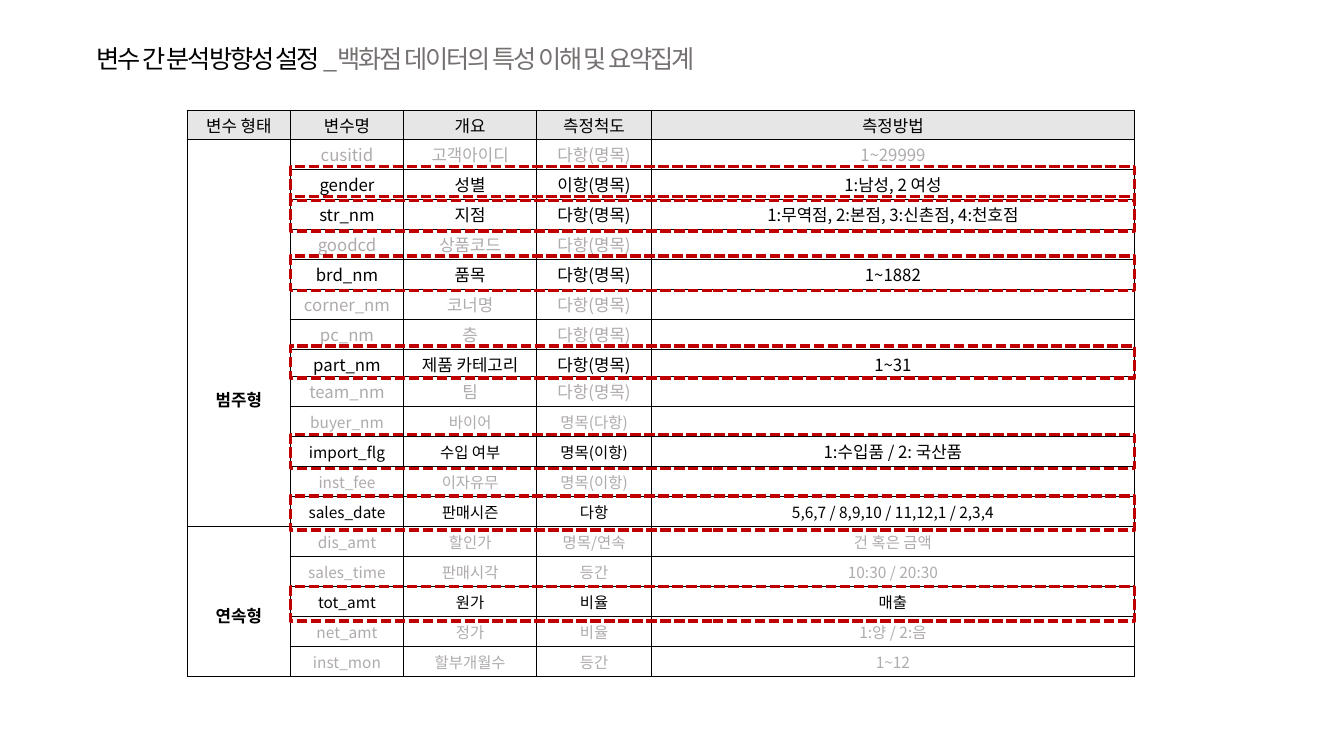
from lxml.etree import SubElement as Sub
from pptx import Presentation
from pptx.dml.color import RGBColor as RGB
from pptx.enum.dml import MSO_LINE as Dash
from pptx.enum.shapes import MSO_SHAPE as Shape
from pptx.enum.text import MSO_ANCHOR as Anchor, PP_ALIGN as Align
from pptx.oxml import parse_xml
from pptx.oxml.ns import qn
from pptx.util import Pt

FONT = "Noto Sans CJK KR"
BLACK, GREY, RED = "000000", "AFABAB", "C00000"
NS = "http://schemas.openxmlformats.org/drawingml/2006/main"
LEFT, TOP = 133.9, 78.7
COLS = [73.5, 81, 95, 82, 345]
HEAD = ["변수 형태", "변수명", "개요", "측정척도", "측정방법"]
ROWS = [
    ["cusitid", "고객아이디", "다항(명목)", "1~29999"],
    ["gender", "성별", "이항(명목)", "1:남성, 2 여성"],
    ["str_nm", "지점", "다항(명목)", "1:무역점, 2:본점, 3:신촌점, 4:천호점"],
    ["goodcd", "상품코드", "다항(명목)", ""],
    ["brd_nm", "품목", "다항(명목)", "1~1882"],
    ["corner_nm", "코너명", "다항(명목)", ""],
    ["pc_nm", "층", "다항(명목)", ""],
    ["part_nm", "제품 카테고리", "다항(명목)", "1~31"],
    ["team_nm", "팀", "다항(명목)", ""],
    ["buyer_nm", "바이어", "명목(다항)", ""],
    ["import_flg", "수입 여부", "명목(이항)", "1:수입품 / 2: 국산품"],
    ["inst_fee", "이자유무", "명목(이항)", ""],
    ["sales_date", "판매시즌", "다항", "5,6,7 / 8,9,10 / 11,12,1 / 2,3,4"],
    ["dis_amt", "할인가", "명목/연속", "건 혹은 금액"],
    ["sales_time", "판매시각", "등간", "10:30 / 20:30"],
    ["tot_amt", "원가", "비율", "매출"],
    ["net_amt", "정가", "비율", "1:양 / 2:음"],
    ["inst_mon", "할부개월수", "등간", "1~12"],
]
GROUPS = [("범주형", 1, 13, 177), ("연속형", 14, 18, 55)]
MARKS = {"gender": 118.8, "str_nm": 140.4, "brd_nm": 182.9, "part_nm": 247,
         "import_flg": 310.3, "sales_date": 354.2, "tot_amt": 419}
SMALL = 10


def color(code):
    return RGB.from_string(code)


def add_run(para, text, size, code, bold=False, gap=None):
    run = para.add_run()
    run.text = text
    font = run.font
    font.size, font.name, font.bold = Pt(size), FONT, bold
    font.color.rgb = color(code)
    props = run._r.get_or_add_rPr()
    Sub(props, qn("a:ea")).set("typeface", FONT)
    if gap:
        props.set("spc", str(gap))


def add_title(slide):
    box = slide.shapes.add_textbox(Pt(61.9), Pt(27.4), Pt(461.5), Pt(29))
    box.text_frame.word_wrap = True
    para = box.text_frame.paragraphs[0]
    add_run(para, "변수 간 분석방향성 설정 ", 18, BLACK, gap=-150)
    add_run(para, "_백화점 데이터의 특성 이해 및 요약집계", 18, "767171", gap=-150)


def add_edges(cell):
    props = cell._tc.get_or_add_tcPr()
    for i, side in enumerate("LRTB"):
        props.insert(i, parse_xml(
            f'<a:ln{side} xmlns:a="{NS}" w="12700"><a:solidFill>'
            f'<a:srgbClr val="{BLACK}"/></a:solidFill></a:ln{side}>'))


def fill_cell(cell, text, size, code=BLACK, back=None, bold=False, top=2.2):
    small = size < 12
    side = 0.7 if small else 5
    cell.margin_left = cell.margin_right = Pt(side)
    cell.margin_top, cell.margin_bottom = Pt(0.7 if small else top), 0
    cell.vertical_anchor = Anchor.MIDDLE if small else Anchor.TOP
    if back:
        cell.fill.solid()
        cell.fill.fore_color.rgb = color(back)
    else:
        cell.fill.background()
    add_edges(cell)
    para = cell.text_frame.paragraphs[0]
    para.alignment = Align.CENTER
    if text:
        add_run(para, text, size, code, bold)
    else:
        Sub(para._p, qn("a:endParaRPr")).set("sz", str(size * 100))


def add_grid(slide):
    highs = [20.7] + [19.3 if row[0] == "part_nm" else 21.45 for row in ROWS]
    frame = slide.shapes.add_table(len(highs), len(COLS), Pt(LEFT), Pt(TOP),
                                   Pt(sum(COLS)), Pt(sum(highs)))
    grid = frame.table
    grid.first_row = grid.horz_banding = False
    for col, wide in zip(grid.columns, COLS):
        col.width = Pt(wide)
    for row, high in zip(grid.rows, highs):
        row.height = Pt(high)
    for c, text in enumerate(HEAD):
        fill_cell(grid.cell(0, c), text, 12, back="E7E6E6")
    for r, row in enumerate(ROWS, 1):
        code = BLACK if row[0] in MARKS else GREY
        for c, text in enumerate(row, 1):
            large = r < SMALL or text == "1:수입품 / 2: 국산품"
            fill_cell(grid.cell(r, c), text, 12 if large else 11, code)
    for name, first, last, top in GROUPS:
        grid.cell(first, 0).merge(grid.cell(last, 0))
        fill_cell(grid.cell(first, 0), name, 12, back="FFFFFF", bold=True, top=top)
        for r in range(first + 1, last + 1):
            fill_cell(grid.cell(r, 0), "", 11)


def add_mark(slide, top, high):
    box = slide.shapes.add_shape(Shape.RECTANGLE, Pt(LEFT + COLS[0]), Pt(top),
                                 Pt(sum(COLS[1:])), Pt(high))
    box.shadow.inherit = False
    box.fill.background()
    box.line.color.rgb = color(RED)
    box.line.width = Pt(2.5)
    box.line.dash_style = Dash.SQUARE_DOT


def main():
    deck = Presentation()
    deck.slide_width, deck.slide_height = Pt(960), Pt(540)
    slide = deck.slides.add_slide(deck.slide_layouts[6])
    add_title(slide)
    add_grid(slide)
    for name, top in MARKS.items():
        add_mark(slide, top, 23 if name == "part_nm" else 24.5)
    deck.save("out.pptx")


if __name__ == "__main__":
    main()
